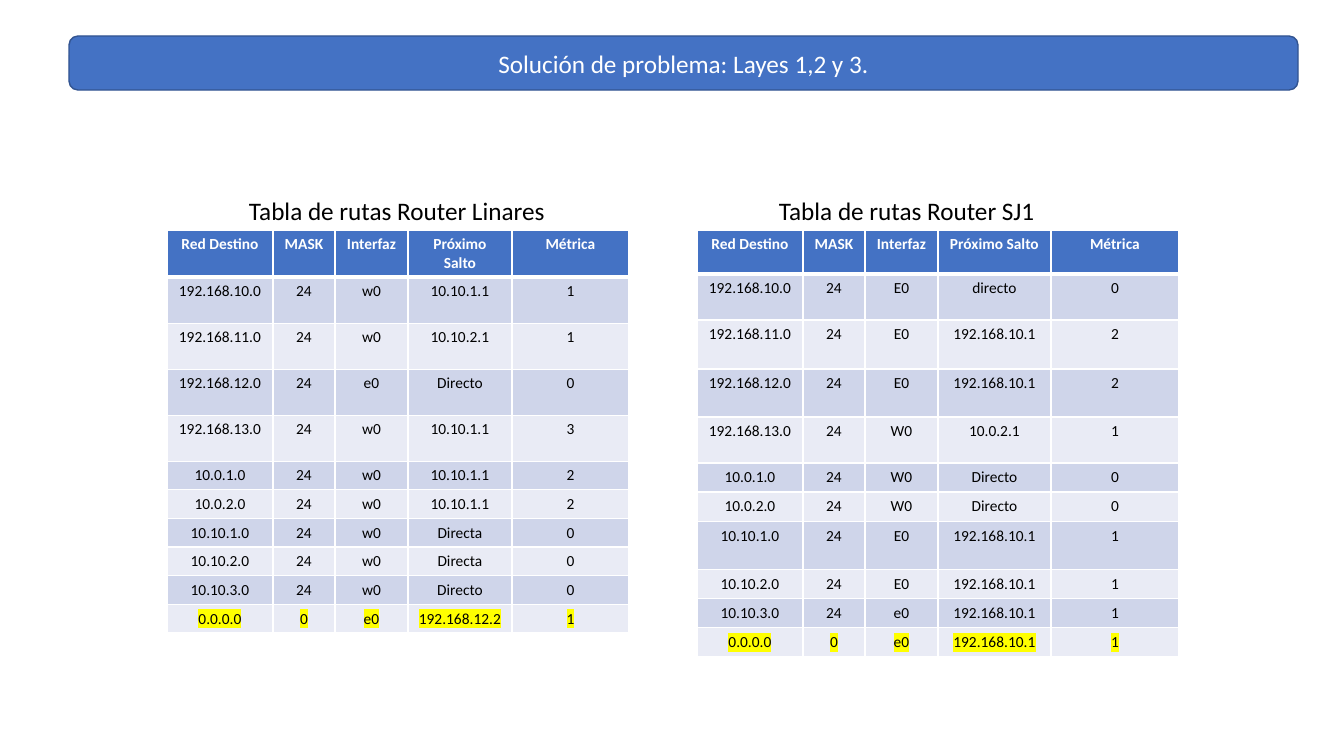
import lxml.etree
import pptx
import pptx.dml.color
import pptx.enum.shapes
import pptx.enum.text
import pptx.oxml.ns
import pptx.util

PX = 914400 / 100.8
BLUE, WHITE, BLACK, YELLOW = "4472C4", "FFFFFF", "000000", "FFFF00"
BANDS = ["E9EBF5", "CFD5EA"]


def color(code):
    return pptx.dml.color.RGBColor.from_string(code)


def write(frame, text, align, **font_format):
    paragraph = frame.paragraphs[0]
    paragraph.alignment = align
    run = paragraph.add_run()
    run.text = text
    run.font.color.rgb = color(font_format.pop("color"))
    for name, value in ({"name": "Calibri"} | font_format).items():
        setattr(run.font, name, value)
    return run


deck = pptx.Presentation()
deck.slide_width, deck.slide_height = round(1344 * PX), round(756 * PX)
slide = deck.slides.add_slide(deck.slide_layouts[6])
LEFT, CENTER = pptx.enum.text.PP_ALIGN.LEFT, pptx.enum.text.PP_ALIGN.CENTER
HEADING_SIZE, CELL_SIZE = pptx.util.Pt(18), pptx.util.Pt(11)

# Banner
banner = slide.shapes.add_shape(
    pptx.enum.shapes.MSO_SHAPE.ROUNDED_RECTANGLE,
    *(round(v * PX) for v in (69, 36, 1229, 54)))
banner.shadow.inherit = False
banner.fill.solid()
banner.fill.fore_color.rgb = color(BLUE)
banner.line.color.rgb = color("325491")
banner.line.width = pptx.util.Pt(1)
banner.text_frame.vertical_anchor = pptx.enum.text.MSO_ANCHOR.MIDDLE
write(banner.text_frame, "Solución de problema: Layes 1,2 y 3.", CENTER,
      color=WHITE, size=HEADING_SIZE)

# Routing tables
HEADER = ["Red Destino", "MASK", "Interfaz", "Próximo Salto", "Métrica"]
routers = [
    {
        "heading": "Tabla de rutas Router SJ1",
        "heading_box": (769, 190, 279, 40),
        "wrap": False,
        "left": 697,
        "widths": [106, 62, 73, 113, 128],
        "heights": [44, 46, 49, 48, 46, 29, 29, 48, 29, 29, 29],
        "routes": [
            ("192.168.10.0", "24", "E0", "directo", "0"),
            ("192.168.11.0", "24", "E0", "192.168.10.1", "2"),
            ("192.168.12.0", "24", "E0", "192.168.10.1", "2"),
            ("192.168.13.0", "24", "W0", "10.0.2.1", "1"),
            ("10.0.1.0", "24", "W0", "Directo", "0"),
            ("10.0.2.0", "24", "W0", "Directo", "0"),
            ("10.10.1.0", "24", "E0", "192.168.10.1", "1"),
            ("10.10.2.0", "24", "E0", "192.168.10.1", "1"),
            ("10.10.3.0", "24", "e0", "192.168.10.1", "1"),
            ("0.0.0.0", "0", "e0", "192.168.10.1", "1"),
        ],
    },
    {
        "heading": "Tabla de rutas Router Linares",
        "heading_box": (239, 190, 336, 40),
        "wrap": True,
        "left": 167,
        "widths": [106, 62, 73, 104, 117],
        "heights": [46] * 5 + [28] * 6,
        "routes": [
            ("192.168.10.0", "24", "w0", "10.10.1.1", "1"),
            ("192.168.11.0", "24", "w0", "10.10.2.1", "1"),
            ("192.168.12.0", "24", "e0", "Directo", "0"),
            ("192.168.13.0", "24", "w0", "10.10.1.1", "3"),
            ("10.0.1.0", "24", "w0", "10.10.1.1", "2"),
            ("10.0.2.0", "24", "w0", "10.10.1.1", "2"),
            ("10.10.1.0", "24", "w0", "Directa", "0"),
            ("10.10.2.0", "24", "w0", "Directa", "0"),
            ("10.10.3.0", "24", "w0", "Directo", "0"),
            ("0.0.0.0", "0", "e0", "192.168.12.2", "1"),
        ],
    },
]

qn = pptx.oxml.ns.qn
for router in routers:
    rows = [HEADER, *router["routes"]]
    widths, heights = router["widths"], router["heights"]
    table = slide.shapes.add_table(
        len(rows), len(HEADER),
        *(round(v * PX) for v in (router["left"], 230, sum(widths), sum(heights)))).table
    for column, width in zip(table.columns, widths):
        column.width = round(width * PX)

    for r, (values, height) in enumerate(zip(rows, heights)):
        table.rows[r].height = round(height * PX)
        is_header, is_default_route = r == 0, r == len(rows) - 1
        for c, value in enumerate(values):
            cell = table.cell(r, c)
            cell.fill.solid()
            cell.fill.fore_color.rgb = color(BLUE if is_header else BANDS[r % 2])
            run = write(cell.text_frame, value, CENTER, size=CELL_SIZE,
                        bold=is_header, color=WHITE if is_header else BLACK)

            # Yellow marker on the default route
            if is_default_route:
                marker = lxml.etree.Element(qn("a:highlight"))
                lxml.etree.SubElement(marker, qn("a:srgbClr"), val=YELLOW)
                run.font._element.find(qn("a:solidFill")).addnext(marker)

            # White borders, thicker under the header
            for place, side in enumerate("LRTB"):
                thick = (is_header and side == "B") or (r == 1 and side == "T")
                border = lxml.etree.Element(
                    qn(f"a:ln{side}"), w=str(pptx.util.Pt(3 if thick else 1)))
                border_fill = lxml.etree.SubElement(border, qn("a:solidFill"))
                lxml.etree.SubElement(border_fill, qn("a:srgbClr"), val=WHITE)
                cell._tc.get_or_add_tcPr().insert(place, border)

    # Heading above the table
    heading = slide.shapes.add_textbox(*(round(v * PX) for v in router["heading_box"]))
    heading.text_frame.word_wrap = router["wrap"]
    heading.text_frame.auto_size = pptx.enum.text.MSO_AUTO_SIZE.SHAPE_TO_FIT_TEXT
    write(heading.text_frame, router["heading"], LEFT, color=BLACK, size=HEADING_SIZE)

deck.save("out.pptx")
